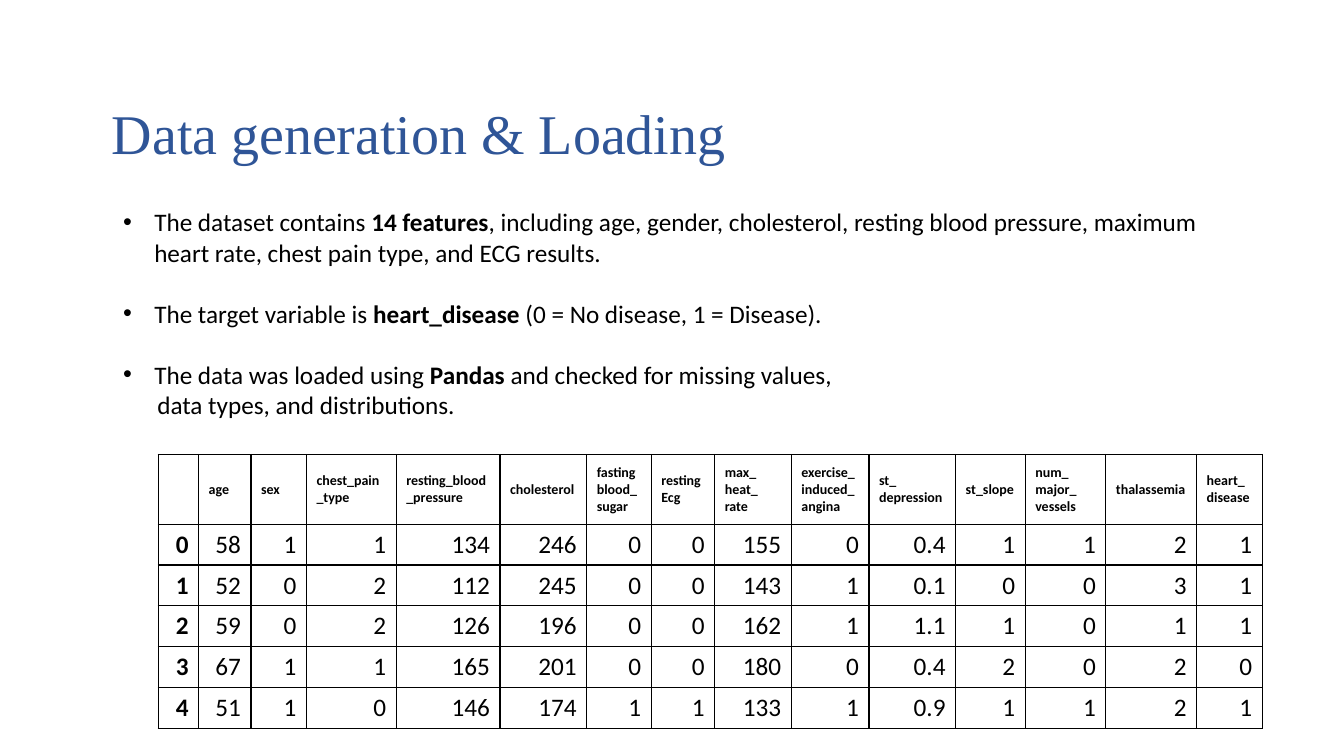
import pptx
import pptx.util
import pptx.oxml
import pptx.dml.color
import pptx.enum.text
from pptx.util import Inches


def style(font, name, size, color, bold=None):
    font.name = name
    font.size = pptx.util.Pt(size)
    font.color.rgb = pptx.dml.color.RGBColor.from_string(color)
    font.bold = bold


def add_border(cell, side, color, width):
    tcPr = cell._tc.get_or_add_tcPr()
    ln = pptx.oxml.parse_xml(
        f'<a:{side} xmlns:a="http://schemas.openxmlformats.org/drawingml/2006/main" w="{pptx.util.Pt(width)}">'
        f'<a:solidFill><a:srgbClr val="{color}"/></a:solidFill></a:{side}>')
    tcPr.append(ln)


prs = pptx.Presentation()
prs.slide_width = Inches(13.33)
prs.slide_height = Inches(7.5)
s = prs.slides.add_slide(prs.slide_layouts[1])

title = s.shapes.title
title.left, title.top, title.width, title.height = map(Inches, (1.01, 0.62, 11.39, 1.38))
tf = title.text_frame
tf.auto_size = pptx.enum.text.MSO_AUTO_SIZE.NONE
tf.vertical_anchor = pptx.enum.text.MSO_ANCHOR.MIDDLE
tf.text = "Data generation & Loading"
p = tf.paragraphs[0]
p.alignment = pptx.enum.text.PP_ALIGN.LEFT
style(p.font, "Times New Roman", 40, "2F5597")

body = s.placeholders[1]
body.left, body.top, body.width, body.height = map(Inches, (1.12, 2, 11.39, 2.22))
tf = body.text_frame
tf.auto_size = pptx.enum.text.MSO_AUTO_SIZE.NONE
bullets = [
    ("The dataset contains **14 features**, including age, gender, cholesterol, resting blood pressure, "
     "maximum heart rate, chest pain type, and ECG results.", 0.31, -0.31, 0),
    ("The target variable is **heart_disease** (0 = No disease, 1 = Disease).", 0.31, -0.31, 22),
    ("The data was loaded using **Pandas** and checked for missing values,", 0.31, -0.31, 22),
    ("data types, and distributions.", 0.34, 0, 0),
]
for i, (text, margin, indent, space) in enumerate(bullets):
    p = tf.paragraphs[0] if i == 0 else tf.add_paragraph()
    p.space_before = pptx.util.Pt(space)
    style(p.font, "Calibri", 18, "000000")
    pPr = p._p.get_or_add_pPr()
    pPr.set("marL", str(Inches(margin)))
    pPr.set("indent", str(Inches(indent)))
    if indent == 0:
        pPr.insert_element_before(pptx.oxml.parse_xml(
            '<a:buNone xmlns:a="http://schemas.openxmlformats.org/drawingml/2006/main"/>'), "a:defRPr")
    for j, part in enumerate(text.split("**")):
        r = p.add_run()
        r.text = part
        style(r.font, "Calibri", 18, "000000", j % 2 == 1)

rows = [
    ["", "age", "sex", "chest_pain_type", "resting_blood_pressure", "cholesterol", "fasting\nblood_\nsugar",
     "resting\nEcg", "max_\nheat_\nrate", "exercise_\ninduced_\nangina", "st_\ndepression", "st_slope",
     "num_\nmajor_\nvessels", "thalassemia", "heart_\ndisease"],
    [0, 58, 1, 1, 134, 246, 0, 0, 155, 0, 0.4, 1, 1, 2, 1],
    [1, 52, 0, 2, 112, 245, 0, 0, 143, 1, 0.1, 0, 0, 3, 1],
    [2, 59, 0, 2, 126, 196, 0, 0, 162, 1, 1.1, 1, 0, 1, 1],
    [3, 67, 1, 1, 165, 201, 0, 0, 180, 0, 0.4, 2, 0, 2, 0],
    [4, 51, 1, 0, 146, 174, 1, 1, 133, 1, 0.9, 1, 1, 2, 1],
]
widths = [0.4, 0.52, 0.55, 0.89, 1.03, 0.86, 0.64, 0.63, 0.76, 0.77, 0.86, 0.69, 0.8, 0.9, 0.65]
table = s.shapes.add_table(len(rows), len(widths), Inches(1.57), Inches(4.51),
                           Inches(10.95), Inches(2.69)).table
table.first_row = False
table.horz_banding = False
for column, width in zip(table.columns, widths):
    column.width = Inches(width)
for i, values in enumerate(rows):
    table.rows[i].height = Inches(0.69 if i == 0 else 0.4)
    for j, value in enumerate(values):
        cell = table.cell(i, j)
        cell.text = str(value)
        cell.vertical_anchor = pptx.enum.text.MSO_ANCHOR.MIDDLE
        for side in ("lnL", "lnR", "lnT", "lnB"):
            add_border(cell, side, "000000", 1)
        cell.fill.background()
        for p in cell.text_frame.paragraphs:
            if i > 0:
                p.alignment = pptx.enum.text.PP_ALIGN.RIGHT
            for r in p.runs:
                style(r.font, "Calibri", 10 if i == 0 else 18, "000000", i == 0 or j == 0)

prs.save("out.pptx")
